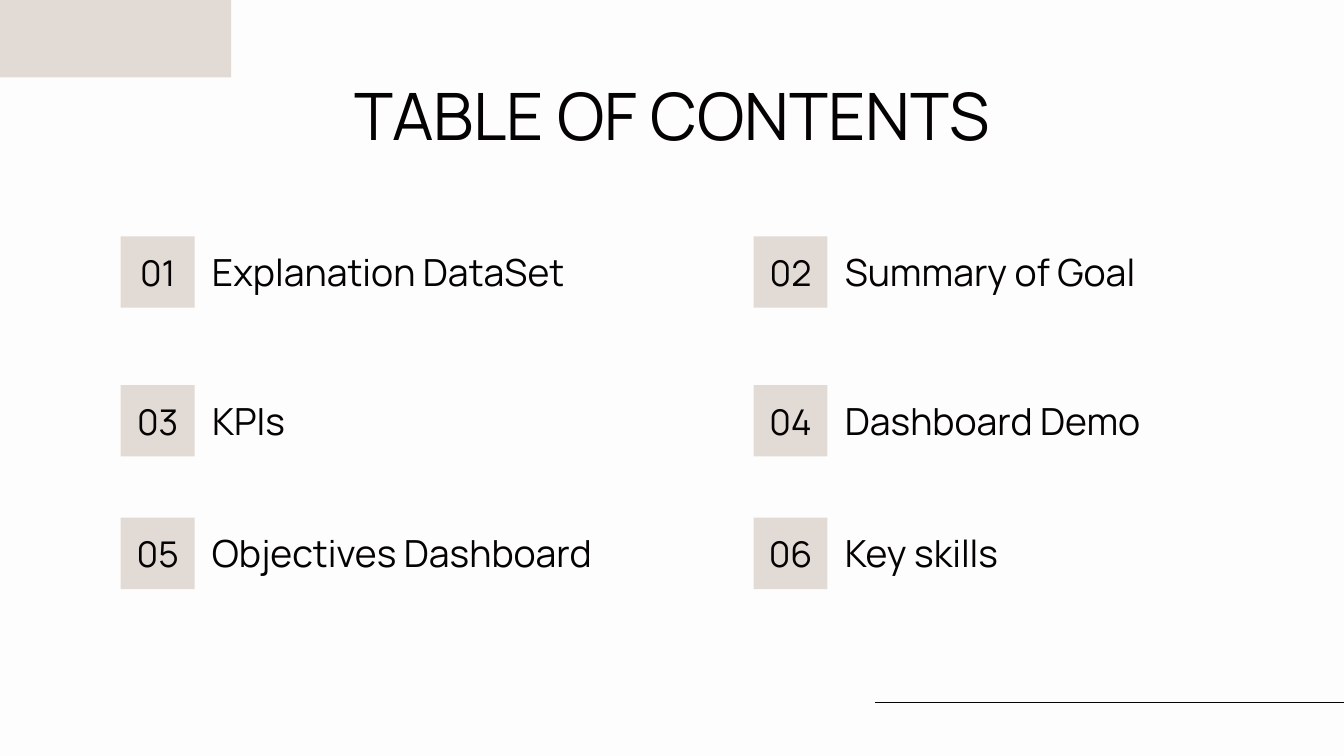
from lxml import etree
from pptx import Presentation
from pptx.dml.color import RGBColor
from pptx.enum import shapes, text
from pptx.oxml import ns
from pptx.util import Pt

COLORS = {"paper": "FDFDFD", "sand": "E2DAD4", "ink": "040202"}


class ContentsSlide:
    font = "Manrope"
    inset = Pt(7.2)

    def __init__(self, slide):
        self.slide = slide
        slide.background.fill.solid()
        slide.background.fill.fore_color.rgb = self.color("paper")

    def color(self, key):
        return RGBColor.from_string(COLORS[key])

    def add_words(self, holder, words, size, align):
        frame = holder.text_frame
        frame.word_wrap = True
        frame.auto_size = text.MSO_AUTO_SIZE.NONE
        frame.vertical_anchor = text.MSO_ANCHOR.MIDDLE
        frame.margin_left = frame.margin_right = self.inset
        frame.margin_top = frame.margin_bottom = self.inset
        paragraph = frame.paragraphs[0]
        paragraph.alignment = align
        run = paragraph.add_run()
        run.text = words
        run.font.size = Pt(size)
        run.font.name = self.font
        run.font.color.rgb = self.color("ink")

    def rule(self, left, right, y):
        line = self.slide.shapes.add_connector(
            shapes.MSO_CONNECTOR.STRAIGHT, Pt(left), Pt(y), Pt(right), Pt(y))
        line.line.width = Pt(0.75)
        line.line.color.rgb = self.color("ink")
        etree.SubElement(line._element.spPr, ns.qn("a:effectLst"))

    def block(self, left, top, width, height):
        block = self.slide.shapes.add_shape(
            shapes.MSO_SHAPE.RECTANGLE, Pt(left), Pt(top), Pt(width), Pt(height))
        block.shadow.inherit = False
        block.fill.solid()
        block.fill.fore_color.rgb = self.color("sand")
        block.line.fill.background()
        return block

    def heading(self, words, left, top, width, height):
        heading = self.slide.shapes.title
        heading.left, heading.top = Pt(left), Pt(top)
        heading.width, heading.height = Pt(width), Pt(height)
        self.add_words(heading, words, 35, text.PP_ALIGN.CENTER)

    def entry(self, number, topic, left, top, width):
        badge = self.block(left, top + 2.2, 39.6, 38.2)
        self.add_words(badge, f"{number:02d}", 19, text.PP_ALIGN.CENTER)
        label = self.slide.shapes.add_textbox(
            Pt(left + 41.8), Pt(top), Pt(width), Pt(41.8))
        self.add_words(label, topic, 20, text.PP_ALIGN.LEFT)


def main():
    deck = Presentation()
    deck.slide_width, deck.slide_height = Pt(720), Pt(405)
    contents = ContentsSlide(deck.slides.add_slide(deck.slide_layouts[5]))

    contents.rule(468.7, 720, 376.4)
    contents.block(0, 0, 123.8, 41.5)
    contents.heading("TABLE OF CONTENTS", 56.7, 42.6, 607, 37.6)

    columns = (64.7, 403.7)
    rows = (124.5, 204.2, 275.2)
    topics = (
        ("Explanation DataSet", 230.4),
        ("Summary of Goal", 230.4),
        ("KPIs", 181.4),
        ("Dashboard Demo", 216.7),
        ("Objectives Dashboard", 256.3),
        ("Key skills", 216.7),
    )
    for index, (topic, width) in enumerate(topics):
        row, column = divmod(index, len(columns))
        contents.entry(index + 1, topic, columns[column], rows[row], width)

    deck.save("out.pptx")


if __name__ == "__main__":
    main()
